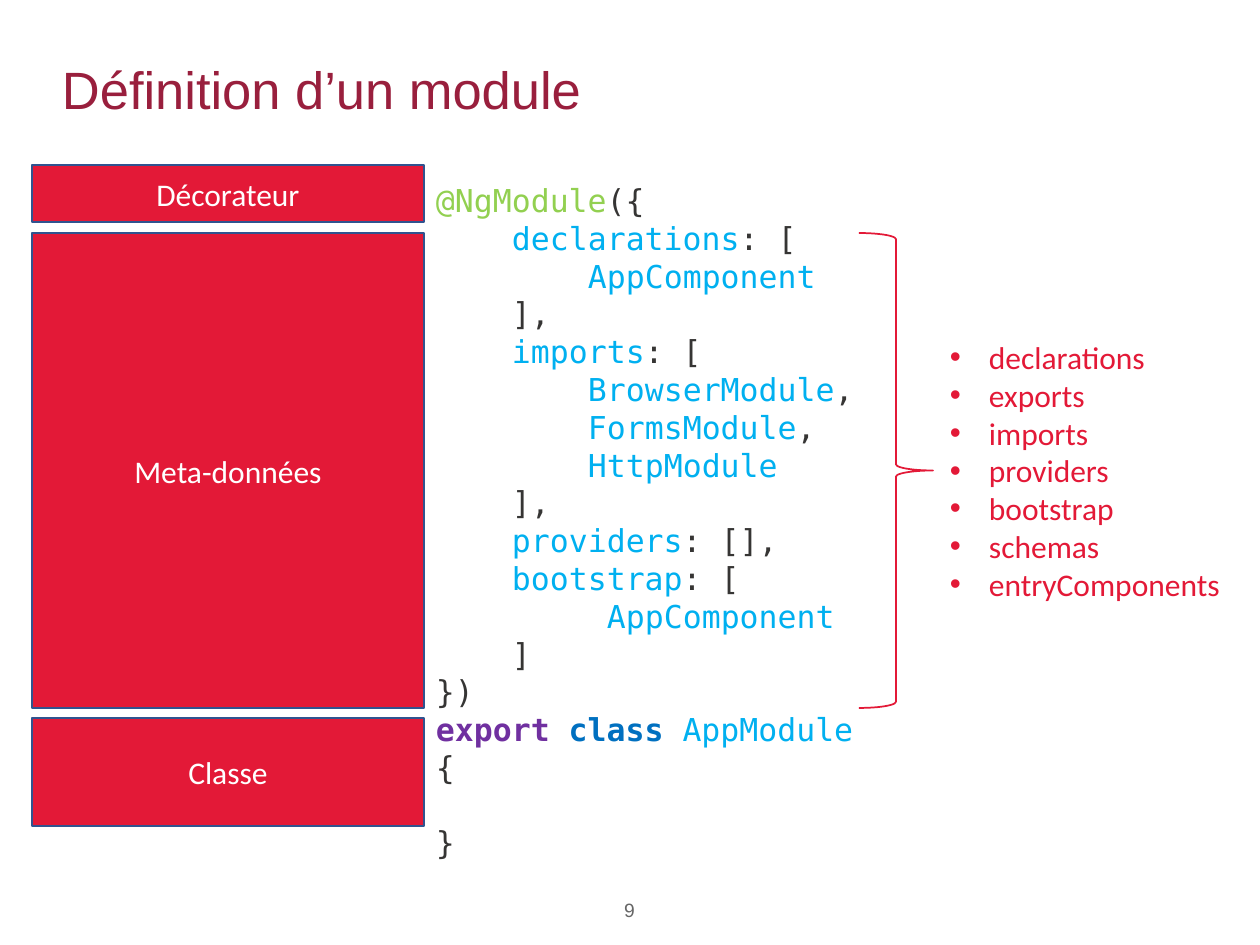
"""Build a slide that explains the parts of an Angular module."""
from dataclasses import dataclass
from typing import Any, NamedTuple

from lxml.etree import SubElement as SubEl
from pptx import Presentation
from pptx.dml.color import RGBColor as Rgb
from pptx.enum.shapes import MSO_SHAPE as Shape
from pptx.enum.text import MSO_ANCHOR as Anchor, PP_ALIGN as Align
from pptx.oxml.ns import qn
from pptx.util import Pt

PX = 914400 / 126
RED = Rgb(0xE3, 0x19, 0x37)
WINE = Rgb(0x99, 0x1F, 0x3D)
NAVY = Rgb(0x31, 0x53, 0x8F)
WHITE = Rgb(0xFF, 0xFF, 0xFF)
GRAY = Rgb(0x66, 0x66, 0x66)
DARK = Rgb(0x36, 0x35, 0x34)
GREEN = Rgb(0x92, 0xD0, 0x50)
CYAN = Rgb(0x00, 0xB0, 0xF0)
PURPLE = Rgb(0x70, 0x30, 0xA0)
BLUE = Rgb(0x00, 0x70, 0xC0)

MONO = {"name": "DejaVu Sans Mono", "size": Pt(18)}
SANS = {"name": "Calibri", "size": Pt(18)}
TAB = 76
HANG = 39


class Area(NamedTuple):
    left: int
    top: int
    width: int
    height: int


@dataclass
class Part:
    label: str
    top: int
    height: int


@dataclass
class Word:
    text: str
    color: Rgb = DARK
    bold: bool = False


@dataclass
class Line:
    words: list[Word]
    dent: int = 0
    gap: int = 0


PARTS = [
    Part("Décorateur", 165, 57),
    Part("Meta-données", 233, 475),
    Part("Classe", 718, 108),
]
CODE = [
    Line([Word("@NgModule", GREEN), Word("({")]),
    Line([Word("declarations", CYAN), Word(": [")], TAB),
    Line([Word("AppComponent", CYAN)], 2 * TAB),
    Line([Word("],")], TAB),
    Line([Word("imports", CYAN), Word(": [")], TAB),
    Line([Word("BrowserModule", CYAN), Word(",")], 2 * TAB),
    Line([Word("FormsModule", CYAN), Word(",")], 2 * TAB),
    Line([Word("HttpModule", CYAN)], 2 * TAB),
    Line([Word("],")], TAB),
    Line([Word("providers", CYAN), Word(": [],")], TAB),
    Line([Word("bootstrap", CYAN), Word(": [")], TAB),
    Line([Word("AppComponent", CYAN)], 9 * TAB // 4),
    Line([Word("]")], TAB),
    Line([Word("})")]),
    Line([Word("export ", PURPLE, True), Word("class ", BLUE, True),
          Word("AppModule ", CYAN), Word("{")]),
    Line([Word("}")], gap=21),
]
KEYS = ["declarations", "exports", "imports", "providers", "bootstrap",
        "schemas", "entryComponents"]


def emu(px: int) -> int:
    """Turn px into EMU."""
    return round(px * PX)


def style(item: Any, form: dict[str, Any]) -> None:
    """Set each format value on an item."""
    for key, value in form.items():
        setattr(item, key, value)


def write(para: Any, word: Word, font: dict[str, Any]) -> None:
    """Add one run of text to a paragraph."""
    run = para.add_run()
    run.text = word.text
    style(run.font, {**font, "bold": word.bold})
    run.font.color.rgb = word.color


def draw_text(slide: Any, area: Area, lines: list[Line], font: dict[str, Any],
              inset: tuple[int, int] = (0, 0), anchor: Any = Anchor.TOP,
              align: Any = Align.LEFT) -> Any:
    """Add a text box with one paragraph for each line."""
    frame = slide.shapes.add_textbox(*map(emu, area)).text_frame
    side, edge = map(emu, inset)
    style(frame, {"word_wrap": True, "vertical_anchor": anchor,
                  "margin_left": side, "margin_right": side,
                  "margin_top": edge, "margin_bottom": edge})
    for num, line in enumerate(lines):
        para = frame.add_paragraph() if num else frame.paragraphs[0]
        style(para, {"alignment": align, "space_before": Pt(line.gap)})
        para._p.get_or_add_pPr().set("marL", str(emu(line.dent)))
        for word in line.words:
            write(para, word, font)
    return frame


def add_dots(frame: Any) -> None:
    """Give each paragraph a red hanging bullet."""
    for para in frame.paragraphs:
        props = para._p.get_or_add_pPr()
        props.set("indent", str(-emu(HANG)))
        tint = SubEl(props, qn("a:buClr"))
        SubEl(tint, qn("a:srgbClr"), val=str(RED))
        SubEl(props, qn("a:buFont"), typeface="Arial")
        SubEl(props, qn("a:buChar"), char="•")


def draw_shape(slide: Any, kind: Any, area: Area, edge: Rgb) -> Any:
    """Add a preset shape with a thin line and no shadow."""
    shape = slide.shapes.add_shape(kind, *map(emu, area))
    shape.shadow.inherit = False
    shape.line.color.rgb = edge
    shape.line.width = Pt(1)
    return shape


def draw_part(slide: Any, part: Part) -> None:
    """Add a red box that names a part of the code."""
    area = Area(32, part.top, 392, part.height)
    box = draw_shape(slide, Shape.RECTANGLE, area, NAVY)
    box.fill.solid()
    box.fill.fore_color.rgb = RED
    box.text_frame.vertical_anchor = Anchor.MIDDLE
    para = box.text_frame.paragraphs[0]
    para.alignment = Align.CENTER
    write(para, Word(part.label, WHITE), SANS)


def main() -> None:
    """Draw and save the slide."""
    deck = Presentation()
    style(deck, {"slide_width": emu(1260), "slide_height": emu(945)})
    slide = deck.slides.add_slide(deck.slide_layouts[6])
    draw_text(slide, Area(62, 25, 1135, 127),
              [Line([Word("Définition d’un module", WINE)])],
              {"name": "Arial", "size": Pt(30)}, anchor=Anchor.MIDDLE)
    draw_text(slide, Area(576, 898, 107, 33), [Line([Word("9", GRAY)])],
              {"name": "Arial", "size": Pt(11)}, align=Align.CENTER)
    for part in PARTS:
        draw_part(slide, part)
    draw_text(slide, Area(423, 175, 474, 651), CODE, MONO, (13, 6))
    meta = PARTS[1]
    brace = draw_shape(slide, Shape.RIGHT_BRACE,
                       Area(859, meta.top, 74, meta.height), RED)
    brace.fill.background()
    keys = [Line([Word(key, RED)], HANG) for key in KEYS]
    add_dots(draw_text(slide, Area(950, 338, 291, 267), keys, SANS))
    deck.save("out.pptx")


if __name__ == "__main__":
    main()
